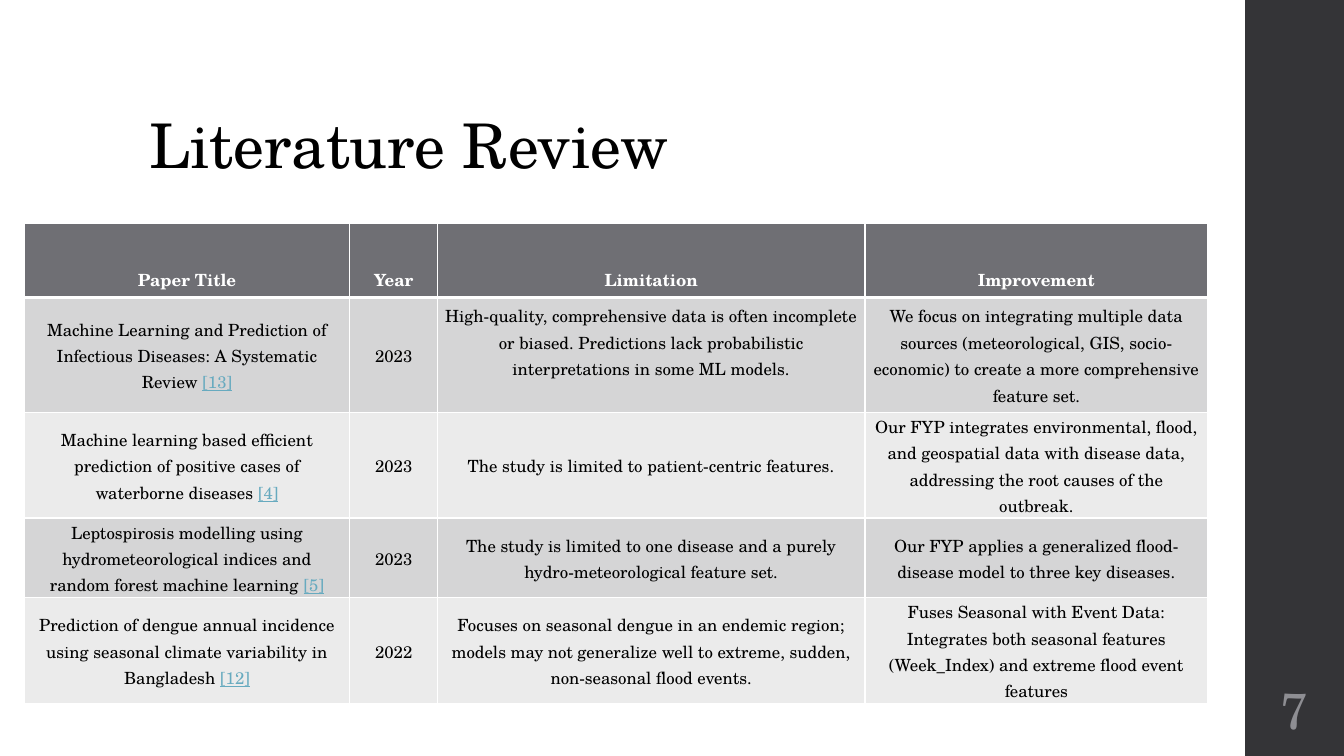
from lxml import etree
from pptx import Presentation, util as u
from pptx.dml.color import RGBColor
from pptx.enum import shapes, text
from pptx.oxml import ns

FONT = "TeX Gyre Schola"
BLACK, WHITE = "000000", "FFFFFF"
LINK = "67AABF"
HEADER_FILL, BANDS = "6F6F74", ("D5D5D6", "EBEBEB")
WIDTH, HEIGHT, SIDEBAR = 13.33, 7.5, 1

COLUMNS = (3.23, 0.87, 4.24, 3.4)
ROWS = (0.73, 1.14, 1.05, 0.79, 1.05)
HEADERS = ("Paper Title", "Year", "Limitation", "Improvement")
PAPERS = (
    (("Machine Learning and Prediction of Infectious Diseases: A Systematic Review ", "[13]"),
     "2023",
     "High-quality, comprehensive data is often incomplete or biased. "
     "Predictions lack probabilistic interpretations in some ML models.",
     "We focus on integrating multiple data sources (meteorological, GIS, socio-economic) "
     "to create a more comprehensive feature set."),
    (("Machine learning based efficient prediction of positive cases of waterborne diseases ", "[4]"),
     "2023",
     "The study is limited to patient-centric features.",
     "Our FYP integrates environmental, flood, and geospatial data with disease data, "
     "addressing the root causes of the outbreak."),
    (("Leptospirosis modelling using hydrometeorological indices and "
      "random forest machine learning ", "[5]"),
     "2023",
     "The study is limited to one disease and a purely hydro-meteorological feature set.",
     "Our FYP applies a generalized flood-disease model to three key diseases."),
    (("Prediction of dengue annual incidence using seasonal climate variability in Bangladesh ", "[12]"),
     "2022",
     "Focuses on seasonal dengue in an endemic region; models may not generalize well "
     "to extreme, sudden, non-seasonal flood events.",
     "Fuses Seasonal with Event Data: Integrates both seasonal features (Week_Index) "
     "and extreme flood event features"),
)


def style(font, size, colour, bold=False):
    font.name, font.size, font.bold = FONT, u.Pt(size), bold
    font.color.rgb = RGBColor.from_string(colour)


def add_borders(cell, bottom):
    """Draw white cell borders, one point wide except for the bottom one."""
    properties = cell._tc.get_or_add_tcPr()
    for index, (side, points) in enumerate((("lnL", 1), ("lnR", 1), ("lnT", 1), ("lnB", bottom))):
        line = etree.Element(ns.qn(f"a:{side}"), w=str(u.Pt(points)))
        fill = etree.SubElement(line, ns.qn("a:solidFill"))
        etree.SubElement(fill, ns.qn("a:srgbClr"), val=WHITE)
        properties.insert(index, line)


presentation = Presentation()
presentation.slide_width, presentation.slide_height = u.Inches(WIDTH), u.Inches(HEIGHT)
slide = presentation.slides.add_slide(presentation.slide_layouts[5])

# Sidebar
sidebar = slide.shapes.add_shape(
    shapes.MSO_SHAPE.RECTANGLE, u.Inches(WIDTH - SIDEBAR + 0.02), 0, u.Inches(SIDEBAR - 0.02), u.Inches(HEIGHT))
sidebar.shadow.inherit = False
sidebar.fill.solid()
sidebar.fill.fore_color.rgb = RGBColor.from_string("343437")
sidebar.line.fill.background()

# Title
title = slide.shapes.title
title.left, title.top, title.width, title.height = map(u.Inches, (1.38, 0.4, 10.6, 1.45))
title.text_frame.text = "Literature Review"
title.text_frame.vertical_anchor = text.MSO_ANCHOR.BOTTOM
title.text_frame.auto_size = text.MSO_AUTO_SIZE.NONE
paragraph = title.text_frame.paragraphs[0]
paragraph.alignment, paragraph.line_spacing = text.PP_ALIGN.LEFT, 0.9
style(paragraph.runs[0].font, 44, BLACK)

# Literature table
table = slide.shapes.add_table(
    len(ROWS), len(COLUMNS), u.Inches(0.24), u.Inches(2.22),
    u.Inches(sum(COLUMNS)), u.Inches(sum(ROWS))).table
for column, width in zip(table.columns, COLUMNS):
    column.width = u.Inches(width)
for row, height in zip(table.rows, ROWS):
    row.height = u.Inches(height)

for row_index, entries in enumerate((HEADERS, *PAPERS)):
    is_header = row_index == 0
    for column_index, entry in enumerate(entries):
        cell = table.cell(row_index, column_index)
        cell.vertical_anchor = text.MSO_ANCHOR.MIDDLE
        cell.margin_left = cell.margin_right = u.Inches(0.07)
        cell.margin_top = cell.margin_bottom = 0
        cell.fill.solid()
        cell.fill.fore_color.rgb = RGBColor.from_string(
            HEADER_FILL if is_header else BANDS[(row_index - 1) % 2])
        add_borders(cell, 3 if is_header else 1)

        wording, *citation = (entry,) if isinstance(entry, str) else entry
        paragraph = cell.text_frame.paragraphs[0]
        paragraph.text = wording
        paragraph.alignment = text.PP_ALIGN.CENTER
        paragraph.line_spacing = 2.5 if is_header else 1.07
        paragraph.space_after = u.Pt(8)
        style(paragraph.runs[0].font, 12, WHITE if is_header else BLACK, is_header)
        for reference in citation:
            run = paragraph.add_run()
            run.text = reference
            style(run.font, 12, LINK)
            run.font.underline = True

# The first limitation sits one line short of its row
table.cell(1, 2).margin_bottom = u.Inches(0.26)

# Slide number
number = slide.shapes.add_textbox(
    u.Inches(WIDTH - SIDEBAR + 0.02), u.Inches(6.75), u.Inches(SIDEBAR - 0.02), u.Inches(0.65))
frame = number.text_frame
frame.text = "7"
frame.word_wrap = True
frame.vertical_anchor = text.MSO_ANCHOR.MIDDLE
frame.margin_left = frame.margin_right = u.Inches(0.05)
paragraph = frame.paragraphs[0]
paragraph.alignment, paragraph.line_spacing = text.PP_ALIGN.CENTER, 0.9
style(paragraph.runs[0].font, 36, "8E8E93")

presentation.save("out.pptx")
